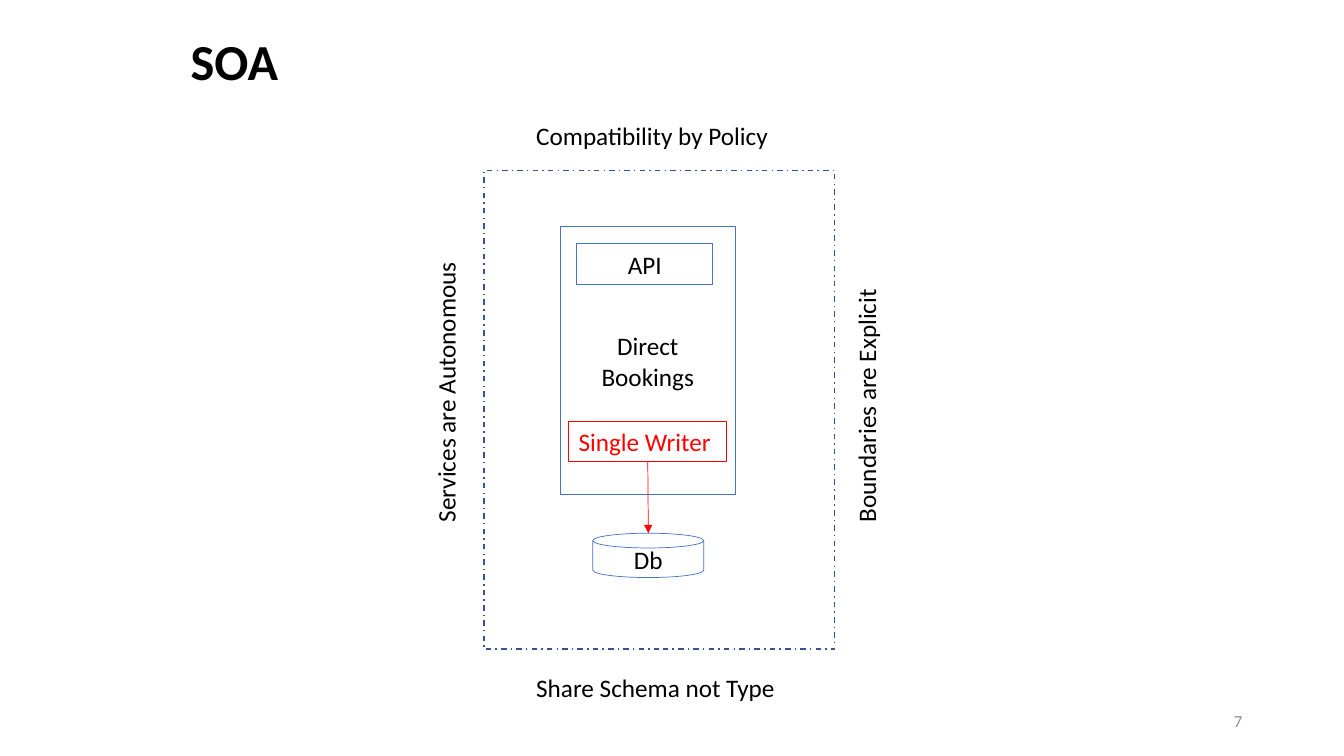
from dataclasses import dataclass

from lxml import etree
from pptx import Presentation
from pptx import util as u
from pptx.dml.color import RGBColor
from pptx.enum import dml, shapes, text
from pptx.oxml import ns


@dataclass(frozen=True)
class Theme:
    font: str = "Calibri"
    ink: str = "000000"
    blue: str = "4472C4"
    navy: str = "325491"
    red: str = "FF0000"
    gray: str = "8C8C8C"
    title: int = 36
    body: int = 18
    small: int = 12


theme = Theme()
LEFT, CENTER, RIGHT = text.PP_ALIGN.LEFT, text.PP_ALIGN.CENTER, text.PP_ALIGN.RIGHT
TOP, MIDDLE = text.MSO_ANCHOR.TOP, text.MSO_ANCHOR.MIDDLE
RECT = shapes.MSO_SHAPE.RECTANGLE
DISK = shapes.MSO_SHAPE.FLOWCHART_MAGNETIC_DISK

prs = Presentation()
prs.slide_width, prs.slide_height = u.Inches(13.33), u.Inches(7.5)
s = prs.slides.add_slide(prs.slide_layouts[6])


def write(sp, lines, size=theme.body, color=theme.ink, align=LEFT, anchor=TOP, bold=False):
    tf = sp.text_frame
    tf.word_wrap = True
    tf.vertical_anchor = anchor
    for i, line in enumerate(lines):
        p = tf.paragraphs[0] if i == 0 else tf.add_paragraph()
        p.alignment = align
        r = p.add_run()
        r.text = line
        r.font.name, r.font.size, r.font.bold = theme.font, u.Pt(size), bold
        r.font.color.rgb = RGBColor.from_string(color)


def add_outline(kind, box, color, width):
    """Add an unfilled shape with a coloured border."""
    sp = s.shapes.add_shape(kind, *map(u.Inches, box))
    sp.shadow.inherit = False
    sp.fill.background()
    sp.line.color.rgb = RGBColor.from_string(color)
    sp.line.width = u.Pt(width)
    return sp


# Service, its API and its database
service = add_outline(RECT, (5.56, 2.25, 1.73, 2.66), theme.blue, 0.5)
write(service, ["Direct", "Bookings"], align=CENTER, anchor=MIDDLE)
api = add_outline(RECT, (5.72, 2.42, 1.35, 0.4), theme.blue, 0.75)
write(api, ["API"], align=CENTER)
database = add_outline(DISK, (5.88, 5.29, 1.1, 0.44), theme.blue, 0.5)
write(database, ["Db"], align=CENTER, anchor=MIDDLE)

boundary = add_outline(RECT, (4.8, 1.69, 3.48, 4.75), theme.navy, 1)
boundary.line.dash_style = dml.MSO_LINE.DASH_DOT

writer = add_outline(RECT, (5.64, 4.18, 1.57, 0.4), theme.red, 0.75)
write(writer, ["Single Writer"], color=theme.red)

# Arrow from the writer to the database
arrow = s.shapes.add_connector(
    shapes.MSO_CONNECTOR.STRAIGHT, *map(u.Inches, (6.43, 4.58, 6.43, 5.29)))
arrow.begin_connect(writer, 2)
arrow.line.color.rgb = RGBColor.from_string(theme.red)
arrow.line.width = u.Pt(0.5)
etree.SubElement(arrow.line._get_or_add_ln(), ns.qn("a:tailEnd"), type="triangle")
etree.SubElement(arrow._element.spPr, ns.qn("a:effectLst"))

# Title, the four tenets around the boundary, and the page number
labels = [
    ("SOA", (0.44, 0.25, 3.77, 0.71), 0, dict(size=theme.title, align=CENTER, bold=True)),
    ("Compatibility by Policy", (5.22, 1.14, 2.64, 0.4), 0, {}),
    ("Boundaries are Explicit", (7.27, 3.76, 2.64, 0.4), 270, {}),
    ("Services are Autonomous", (2.99, 3.65, 2.86, 0.4), 270, {}),
    ("Share Schema not Type", (5.22, 6.62, 2.64, 0.4), 0, {}),
    ("7", (9.42, 6.95, 3, 0.4), 0,
     dict(size=theme.small, color=theme.gray, align=RIGHT, anchor=MIDDLE)),
]
for label, box, rotation, style in labels:
    sp = s.shapes.add_textbox(*map(u.Inches, box))
    sp.rotation = rotation
    write(sp, [label], **style)

prs.save("out.pptx")
